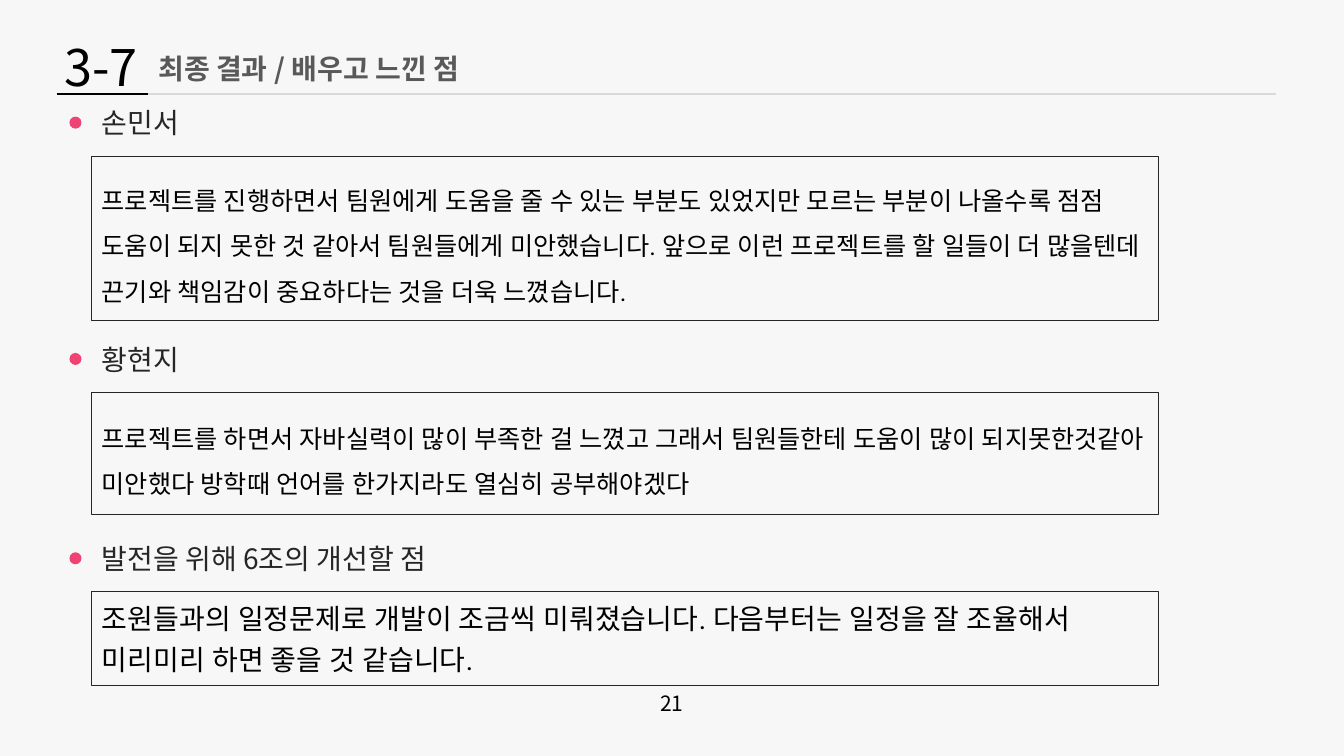
import pptx
import pptx.dml.color
import pptx.enum.shapes
import pptx.enum.text
import pptx.oxml
import pptx.oxml.ns
import pptx.util
from dataclasses import dataclass

Pt = pptx.util.Pt
Anchor = pptx.enum.text.MSO_ANCHOR
Align = pptx.enum.text.PP_ALIGN
Shape = pptx.enum.shapes.MSO_SHAPE


@dataclass(frozen=True)
class Theme:
    background: str = "F7F7F7"
    ink: str = "000000"
    label: str = "262626"
    title: str = "595959"
    rule: str = "D9D9D9"
    accent: str = "EF4473"
    heading_font: str = "Noto Sans CJK KR"
    body_font: str = "Roboto"
    number_size: float = 36
    heading_size: float = 20
    body_size: float = 18
    page_size: float = 15


THEME = Theme()


def color(value):
    return pptx.dml.color.RGBColor.from_string(value)


def format_paragraph(paragraph, size, ink, font=THEME.heading_font, bold=False):
    for run in paragraph.runs:
        run.font.size = Pt(size)
        run.font.bold = bold
        run.font.name = font
        run.font.color.rgb = color(ink)
        # Hangul takes its typeface from the East Asian slot
        east_asian = pptx.oxml.parse_xml(
            f'<a:ea {pptx.oxml.ns.nsdecls("a")} typeface="{font}"/>')
        run.font._element.find(pptx.oxml.ns.qn("a:latin")).addnext(east_asian)


def add_text(slide, box, text, size, ink, bold=False, wrap=True, align=Align.LEFT):
    shape = slide.shapes.add_textbox(*map(Pt, box))
    shape.text_frame.word_wrap = wrap
    shape.text_frame.text = text
    paragraph = shape.text_frame.paragraphs[0]
    paragraph.alignment = align
    format_paragraph(paragraph, size, ink, bold=bold)


def add_rule(slide, left, right, top, ink):
    line = slide.shapes.add_connector(
        pptx.enum.shapes.MSO_CONNECTOR.STRAIGHT, Pt(left), Pt(top), Pt(right), Pt(top))
    line.line.color.rgb = color(ink)
    line.line.width = Pt(2)
    line._element.spPr.append(
        pptx.oxml.parse_xml(f'<a:effectLst {pptx.oxml.ns.nsdecls("a")}/>'))


def add_header(slide, box, number, title):
    left, top, width, height = box
    # Section number and title
    add_text(slide, (left + 67, top + 11, 248, 32), title, THEME.heading_size,
             THEME.title, bold=True, wrap=False)
    add_text(slide, (left, top, 85, 51), number, THEME.number_size, THEME.ink)
    # Long grey rule with a dark start
    add_rule(slide, left + 34, left + width, top + height, THEME.rule)
    add_rule(slide, left + 1.5, left + 67, top + height, THEME.ink)


def add_section(slide, box, label, paragraphs, size, line_spacing=1.0, space_after=0):
    left, top, width, height = box
    label_height = 39.5
    # Label and bullet dot
    add_text(slide, (left, top, width, 36), label, THEME.heading_size, THEME.label)
    dot = slide.shapes.add_shape(
        Shape.OVAL, Pt(left - 16), Pt(top + 11.3), Pt(8.6), Pt(8.6))
    dot.shadow.inherit = False
    dot.fill.solid()
    dot.fill.fore_color.rgb = color(THEME.accent)
    dot.line.fill.background()

    # Framed comment
    frame = slide.shapes.add_shape(
        Shape.RECTANGLE, Pt(left), Pt(top + label_height), Pt(width),
        Pt(height - label_height))
    frame.shadow.inherit = False
    frame.fill.background()
    frame.line.color.rgb = color(THEME.label)
    frame.line.width = Pt(0.75)
    text_frame = frame.text_frame
    text_frame.word_wrap = True
    text_frame.vertical_anchor = Anchor.MIDDLE
    text_frame.margin_top = text_frame.margin_bottom = Pt(8.6)
    text_frame.text = "\n".join(paragraphs)
    for paragraph in text_frame.paragraphs:
        paragraph.alignment = Align.LEFT
        paragraph.line_spacing = line_spacing
        paragraph.space_after = Pt(space_after)
        format_paragraph(paragraph, size, THEME.ink, THEME.body_font)


def main():
    presentation = pptx.Presentation()
    presentation.slide_width = Pt(960)
    presentation.slide_height = Pt(540)
    slide = presentation.slides.add_slide(presentation.slide_layouts[6])
    slide.background.fill.solid()
    slide.background.fill.fore_color.rgb = color(THEME.background)

    add_header(slide, (39, 22.3, 872.5, 44.9), "3-7", "최종 결과 / 배우고 느낀 점")

    # Comments by person, then the team's improvements
    left, width = 65.6, 761.8
    add_section(
        slide, (left, 72, width, 157), "손민서",
        ["프로젝트를 진행하면서 팀원에게 도움을 줄 수 있는 부분도 있었지만 모르는 부분이 나올수록 점점 "
         "도움이 되지 못한 것 같아서 팀원들에게 미안했습니다. 앞으로 이런 프로젝트를 할 일들이 더 "
         "많을텐데 끈기와 책임감이 중요하다는 것을 더욱 느꼈습니다."],
        THEME.body_size, line_spacing=1.5)
    add_section(
        slide, (left, 240.8, width, 126.6), "황현지",
        ["프로젝트를 하면서 자바실력이 많이 부족한 걸 느꼈고 그래서 팀원들한테 도움이 많이 "
         "되지못한것같아 미안했다 방학때 언어를 한가지라도 열심히 공부해야겠다"],
        THEME.body_size, line_spacing=1.5)
    add_section(
        slide, (left, 383.2, width, 106.5), "발전을 위해 6조의 개선할 점",
        ["조원들과의 일정문제로 개발이 조금씩 미뤄졌습니다. 다음부터는 일정을 잘 조율해서",
         "미리미리 하면 좋을 것 같습니다."],
        THEME.heading_size, space_after=5)

    # Page number
    add_text(slide, (464.4, 489.6, 31, 25), "21", THEME.page_size, THEME.ink,
             wrap=False, align=Align.CENTER)
    presentation.save("out.pptx")


if __name__ == "__main__":
    main()
